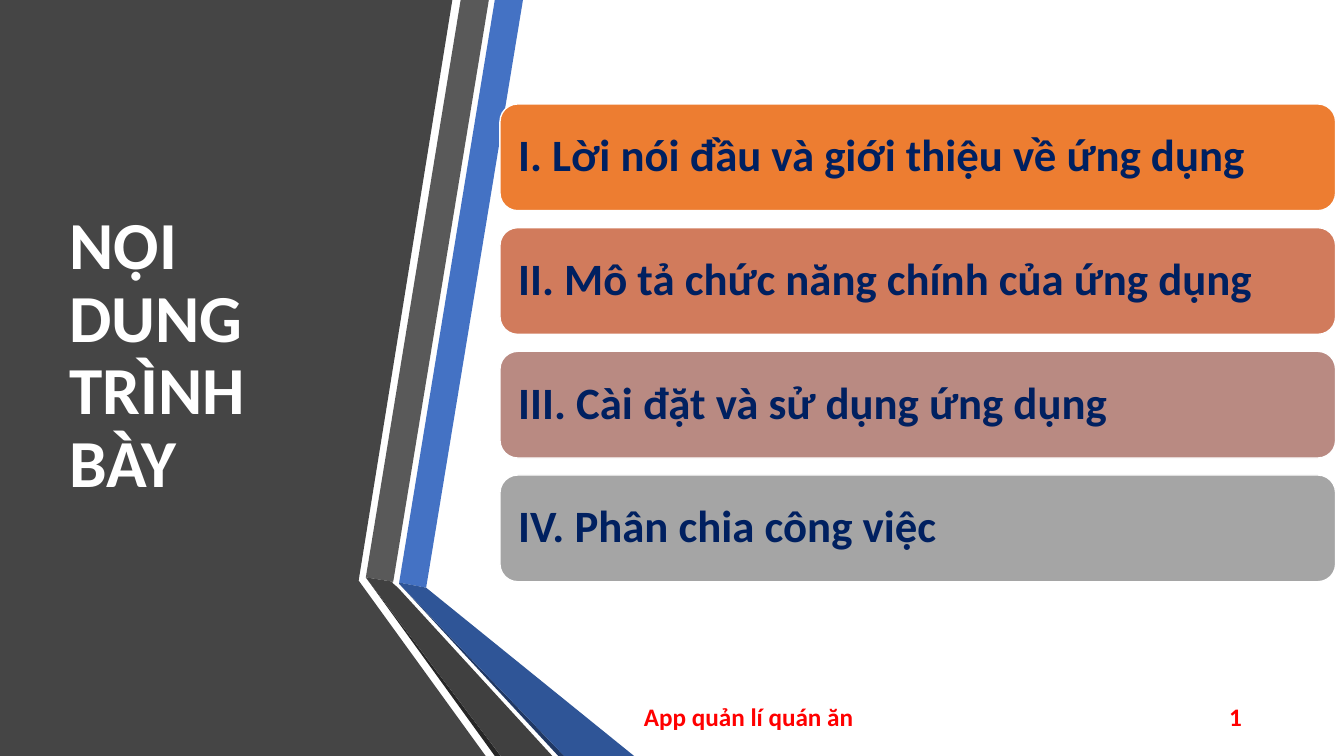
from pptx import Presentation
from pptx.dml.color import RGBColor
from pptx.enum.shapes import MSO_SHAPE as Shape
from pptx.enum.text import MSO_ANCHOR as Anchor, PP_ALIGN as Align
from pptx.util import Cm, Pt

WHITE = RGBColor(0xFF, 0xFF, 0xFF)
RED = RGBColor(0xFF, 0, 0)
NAVY = RGBColor(0, 0x20, 0x60)
DARK = RGBColor(0x45, 0x45, 0x45)
BLUE = RGBColor(0x44, 0x72, 0xC4)
GREY = RGBColor(0x59, 0x59, 0x59)
BLACK = RGBColor(0x26, 0x26, 0x26)
INK = RGBColor(0x20, 0x38, 0x64)
DEEP = RGBColor(0x2F, 0x55, 0x97)
COAL = RGBColor(0x40, 0x40, 0x40)
ORANGE = RGBColor(0xED, 0x7D, 0x31)
CLAY = RGBColor(0xD1, 0x7B, 0x5C)
ROSE = RGBColor(0xB9, 0x8A, 0x82)
SILVER = RGBColor(0xA5, 0xA5, 0xA5)

WIDE, HIGH = 33.87, 19.05

# Colour and corners in cm of each piece of the folded ribbon, back to front
FOLDS = [
    (DARK, [(0, 0), (11.4, 0), (9.04, 14.63), (12.24, HIGH), (0, HIGH)]),
    (BLUE, [(10.06, 14.68), (10.74, 14.81), (13.18, 0), (12.47, 0)]),
    (GREY, [(12.32, 0), (11.61, 0), (9.22, 14.55), (9.91, 14.66)]),
    (BLACK, [(9.22, 14.55), (12.47, HIGH), (12.62, HIGH)]),
    (INK, [(10.06, 14.71), (14.07, HIGH), (14.22, HIGH)]),
    (DEEP, [(10.06, 14.68), (10.06, 14.71), (14.22, HIGH), (15.98, HIGH),
            (10.74, 14.81)]),
    (COAL, [(13.92, HIGH), (10.03, 14.81), (9.88, 14.68), (9.91, 14.66),
            (9.22, 14.55), (12.62, HIGH)]),
]

TOPICS = [
    ("I. Lời nói đầu và giới thiệu về ứng dụng", ORANGE),
    ("II. Mô tả chức năng chính của ứng dụng", CLAY),
    ("III. Cài đặt và sử dụng ứng dụng", ROSE),
    ("IV. Phân chia công việc", SILVER),
]


def write(shape, text, size, color, align=Align.LEFT, lead=1.0, pad=0.25):
    """Put one bold, vertically centred paragraph in a shape."""
    frame = shape.text_frame
    frame.word_wrap = True
    frame.vertical_anchor = Anchor.MIDDLE
    frame.margin_left = frame.margin_right = Cm(pad)
    frame.margin_top = frame.margin_bottom = Cm(0.13)
    para = frame.paragraphs[0]
    para.alignment = align
    para.line_spacing = lead
    run = para.add_run()
    run.text = text
    font = run.font
    font.name, font.size, font.bold = "Calibri", Pt(size), True
    font.color.rgb = color


def label(slide, box, text, size, color, **style):
    area = slide.shapes.add_textbox(*map(Cm, box))
    write(area, text, size, color, **style)


def paint(shape, color):
    shape.shadow.inherit = False
    shape.fill.solid()
    shape.fill.fore_color.rgb = color


def draw_ribbon(slide, left, top):
    for color, corners in FOLDS:
        points = [(Cm(left + x), Cm(top + y)) for x, y in corners]
        pen = slide.shapes.build_freeform(*points[0])
        pen.add_line_segments(points[1:], close=True)
        fold = pen.convert_to_shape()
        paint(fold, color)
        fold.line.fill.background()


def draw_topics(slide, left, top, width, height):
    """Stack the topic bars evenly from the top to the bottom of the box."""
    tall = 2.69
    step = (height - tall) / (len(TOPICS) - 1)
    for row, (text, color) in enumerate(TOPICS):
        bar = slide.shapes.add_shape(
            Shape.ROUNDED_RECTANGLE,
            Cm(left), Cm(top + row * step), Cm(width), Cm(tall))
        paint(bar, color)
        bar.line.color.rgb = WHITE
        bar.line.width = Pt(1)
        write(bar, text, 32, NAVY, lead=0.9, pad=0.33)


def draw_footer(slide, left, top, width, height):
    page = 3.02
    label(slide, (left, top, 10.82, height), "App quản lí quán ăn", 18, RED)
    label(slide, (left + width - page, top, page, height), "1", 18, RED,
          align=Align.RIGHT)


def main():
    deck = Presentation()
    deck.slide_width, deck.slide_height = Cm(WIDE), Cm(HIGH)
    slide = deck.slides.add_slide(deck.slide_layouts[6])
    draw_ribbon(slide, 0, 0)
    label(slide, (1.5, 1.9, 7.72, 14.17), "NỘI DUNG TRÌNH BÀY", 48, WHITE,
          lead=0.9)
    draw_footer(slide, 15.98, 17.53, 15.57, 1.02)
    draw_topics(slide, 12.6, 2.62, 21.06, 12.04)
    deck.save("out.pptx")


if __name__ == "__main__":
    main()
